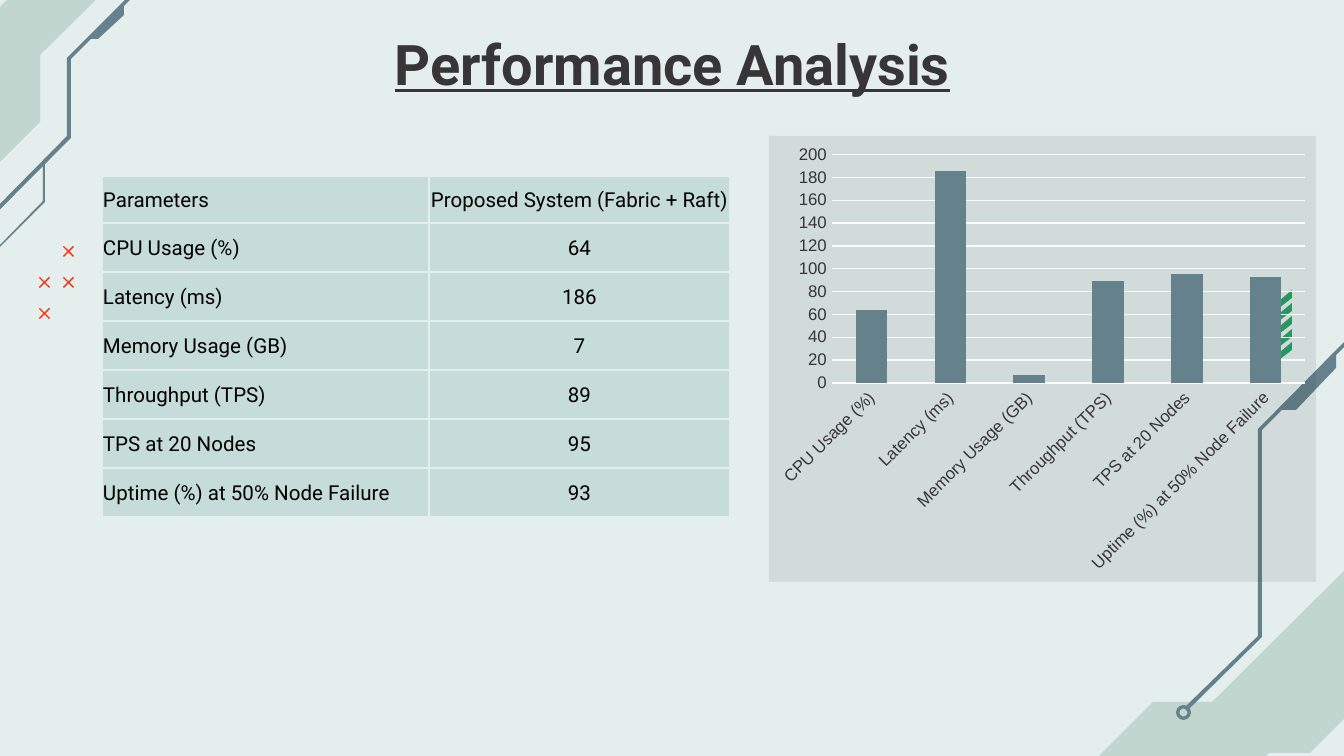
"""Build the Performance Analysis slide with its table, column chart and corner ornaments."""
from lxml.etree import SubElement
from pptx import Presentation
from pptx.chart.data import CategoryChartData
from pptx.dml.color import RGBColor
from pptx.enum.chart import XL_CHART_TYPE, XL_TICK_MARK
from pptx.enum.shapes import MSO_SHAPE
from pptx.enum.text import MSO_ANCHOR, MSO_AUTO_SIZE, PP_ALIGN
from pptx.oxml import parse_xml
from pptx.oxml.ns import nsdecls, qn
from pptx.util import Pt

PX = 914400 / 134.4
BACKGROUND, SAGE, SLATE = "E3EEED", "C1D6CE", "64818C"
GREEN, RED, INK, CELL = "24A364", "FC2E12", "383536", "C6DCDA"


def color(value):
    return RGBColor.from_string(value)


def draw_polygon(points, fill):
    builder = slide.shapes.build_freeform(*points[0], scale=PX)
    builder.add_line_segments(points[1:], close=True)
    shape = builder.convert_to_shape()
    shape.shadow.inherit = False
    shape.fill.solid()
    shape.fill.fore_color.rgb = color(fill)
    shape.line.fill.background()


presentation = Presentation()
presentation.slide_width, presentation.slide_height = round(1344 * PX), round(756 * PX)
slide = presentation.slides.add_slide(presentation.slide_layouts[5])
slide.background.fill.solid()
slide.background.fill.fore_color.rgb = color(BACKGROUND)

ornaments = {
    "right band": (SAGE, [(1348, 567), (1212, 702), (1153, 702), (1077, 778), (1077, 813), (1028, 862),
                          (1160, 862), (1269, 753), (1310, 753), (1390, 673), (1390, 652), (1474, 567)]),
    "right circuit": (SLATE, [(1517, 247), (1517, 332), (1359, 332), (1262, 430), (1262, 637), (1187, 711),
                              (1184, 708), (1258, 636), (1258, 429), (1357, 329), (1513, 329), (1513, 247)]),
    "right accent": (SLATE, [(1336, 352), (1336, 368), (1296, 410), (1279, 410)]),
    "left band": (SAGE, [(113, -17), (40, 55), (40, 122), (-108, 270), (-108, 130), (-66, 89),
                         (-66, 73), (113, -106)]),
    "left accent": (SLATE, [(124, 5), (89, 39), (98, 39), (124, 15)]),
    "left circuit": (SLATE, [(177, -47), (175, -50), (67, 58), (67, 136), (-75, 280), (-169, 280),
                             (-169, 284), (-74, 284), (71, 138), (71, 59)]),
    "left thin circuit": (SLATE, [(45, 163), (43, 163), (43, 201), (-4, 249), (-43, 249), (-43, 251),
                                  (-4, 251), (45, 202)]),
}
for fill, points in ornaments.values():
    draw_polygon(points, fill)

for stripe in range(5):
    top = 290 + 13 * stripe
    draw_polygon([(1292, top + 8), (1279, top + 18), (1279, top + 11), (1292, top)], GREEN)

cross_bars = [[(0, 1), (10, 11), (11, 10), (1, 0)], [(0, 10), (1, 11), (11, 1), (10, 0)]]
for left, top in [(63, 277), (63, 246), (39, 308), (39, 277)]:
    for bar in cross_bars:
        draw_polygon([(left + x, top + y) for x, y in bar], RED)

ring = slide.shapes.add_shape(MSO_SHAPE.DONUT, *[round(n * PX) for n in (1176, 705, 15, 15)])
ring.adjustments[0] = 0.23
ring.shadow.inherit = False
ring.fill.solid()
ring.fill.fore_color.rgb = color(SLATE)
ring.line.fill.background()

title = slide.shapes.title
title_box = {"left": 77, "top": 20, "width": 1191, "height": 86}
for name, value in title_box.items():
    setattr(title, name, round(value * PX))
title.text_frame.text = "Performance Analysis"
title.text_frame.auto_size = MSO_AUTO_SIZE.NONE
title.text_frame.vertical_anchor = MSO_ANCHOR.MIDDLE
paragraph = title.text_frame.paragraphs[0]
paragraph.alignment = PP_ALIGN.CENTER
title_format = {"name": "Roboto", "size": Pt(30), "bold": True, "underline": True}
for name, value in title_format.items():
    setattr(paragraph.font, name, value)
paragraph.font.color.rgb = color(INK)

measurements = {
    "CPU Usage (%)": 64,
    "Latency (ms)": 186,
    "Memory Usage (GB)": 7,
    "Throughput (TPS)": 89,
    "TPS at 20 Nodes": 95,
    "Uptime (%) at 50% Node Failure": 93,
}

chart_data = CategoryChartData()
chart_data.categories = list(measurements)
chart_data.add_series("Series 1", list(measurements.values()))
chart_box = [round(n * PX) for n in (769, 136, 547, 446)]
chart = slide.shapes.add_chart(XL_CHART_TYPE.COLUMN_CLUSTERED, *chart_box, chart_data).chart
chart.has_legend = chart.has_title = False
chart.font.name, chart.font.size = "Arial", Pt(10)
chart.font.color.rgb = color(INK)
chart_fill = parse_xml(
    f'<c:spPr {nsdecls("c", "a")}><a:solidFill><a:srgbClr val="{INK}"><a:alpha val="10000"/>'
    "</a:srgbClr></a:solidFill><a:ln><a:noFill/></a:ln></c:spPr>"
)
chart._chartSpace.find(qn("c:chart")).addnext(chart_fill)

plot = chart.plots[0]
plot.gap_width, plot.vary_by_categories = 150, False
columns = plot.series[0].format.fill
columns.solid()
columns.fore_color.rgb = color(SLATE)
for axis in (chart.category_axis, chart.value_axis):
    axis.major_tick_mark = axis.minor_tick_mark = XL_TICK_MARK.NONE
    axis.format.line.fill.background()
    axis.tick_labels.font.name, axis.tick_labels.font.size = "Arial", Pt(9)
    axis.tick_labels.font.color.rgb = color(INK)
category_text = chart.category_axis._element.find(qn("c:txPr"))
category_text.find(qn("a:bodyPr")).set("rot", "-2700000")
scale_format = {"minimum_scale": 0, "maximum_scale": 200, "major_unit": 20, "has_major_gridlines": True}
for name, value in scale_format.items():
    setattr(chart.value_axis, name, value)
gridline = chart.value_axis.major_gridlines.format.line
gridline.width = Pt(0.75)
gridline.color.rgb = color("FBFCFC")

rows = [("Parameters", "Proposed System (Fabric + Raft)"), *measurements.items()]
table_box = [round(n * PX) for n in (102, 176, 628, 341)]
table = slide.shapes.add_table(len(rows), 2, *table_box).table
table.first_row = table.horz_banding = False
for column, width in zip(table.columns, (327, 301)):
    column.width = round(width * PX)
cell_format = {"margin_left": round(PX), "margin_right": round(PX), "margin_top": round(PX),
               "margin_bottom": 0, "vertical_anchor": MSO_ANCHOR.MIDDLE}
for row_index, row in enumerate(rows):
    table.rows[row_index].height = round((49 if row_index else 47) * PX)
    for column_index, content in enumerate(row):
        cell = table.cell(row_index, column_index)
        cell.text = str(content)
        for name, value in cell_format.items():
            setattr(cell, name, value)
        paragraph = cell.text_frame.paragraphs[0]
        paragraph.alignment = PP_ALIGN.CENTER if column_index else PP_ALIGN.LEFT
        paragraph.font.name, paragraph.font.size = "Roboto", Pt(11)
        paragraph.font.color.rgb = color("000000")
        properties = cell._tc.get_or_add_tcPr()
        for side in ("lnL", "lnR", "lnT", "lnB"):
            border = SubElement(properties, qn(f"a:{side}"), w=str(Pt(1)))
            SubElement(SubElement(border, qn("a:solidFill")), qn("a:srgbClr"), val=BACKGROUND)
        cell.fill.solid()
        cell.fill.fore_color.rgb = color(CELL)

presentation.save("out.pptx")
